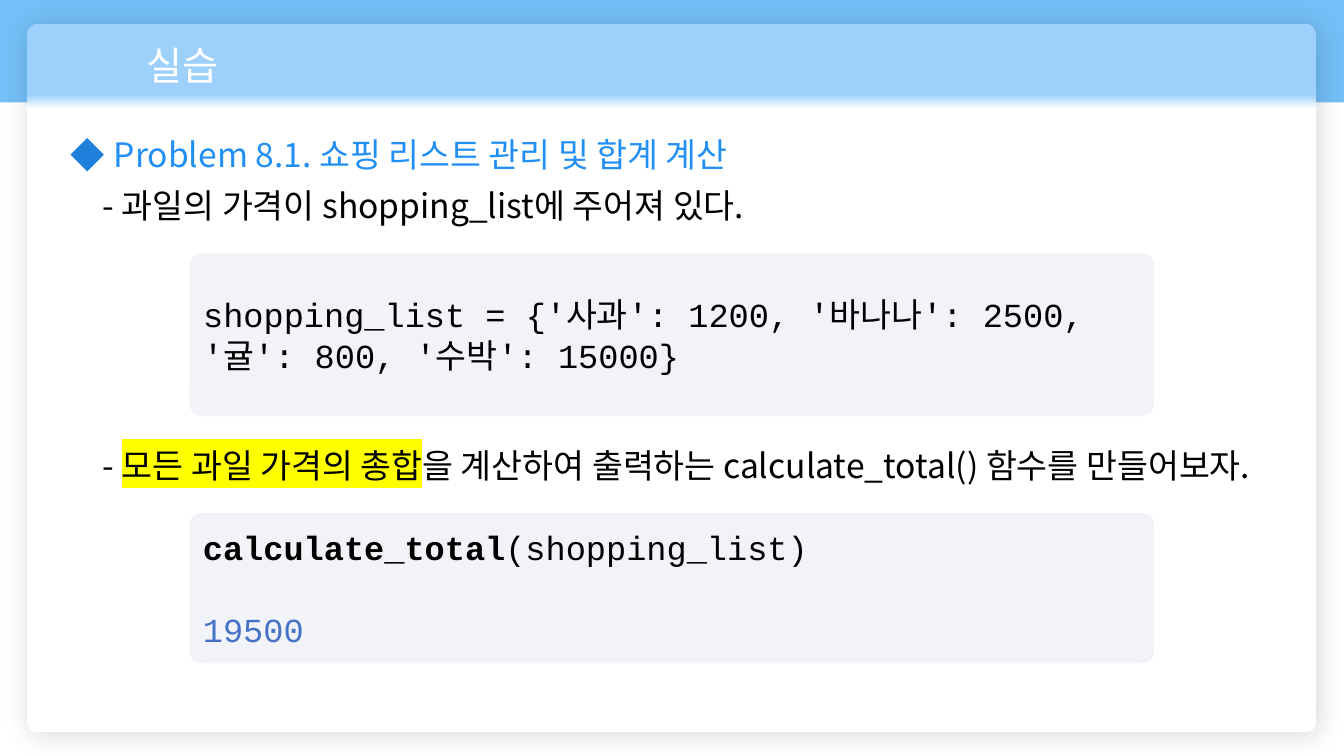
from dataclasses import dataclass

from lxml import etree
from pptx import Presentation
from pptx.dml.color import RGBColor
from pptx.enum.shapes import MSO_SHAPE
from pptx.enum.text import MSO_ANCHOR, PP_ALIGN
from pptx.oxml import parse_xml
from pptx.oxml.ns import nsdecls, qn
from pptx.shapes.autoshape import Shape
from pptx.slide import Slide
from pptx.text.text import TextFrame
from pptx.util import Pt

RECT, ROUNDED, DIAMOND = MSO_SHAPE.RECTANGLE, MSO_SHAPE.ROUNDED_RECTANGLE, MSO_SHAPE.DIAMOND
MIDDLE, LEFT = MSO_ANCHOR.MIDDLE, PP_ALIGN.LEFT


@dataclass(frozen=True)
class Theme:
    sans: str = "Noto Sans CJK KR"
    mono: str = "Courier New"
    title_size: int = 28
    body_size: int = 24
    band: str = "74BFF8"
    header: str = "9DD1FB"
    white: str = "FFFFFF"
    black: str = "000000"
    heading: str = "228FF4"
    marker: str = "1F80DB"
    code_fill: str = "F2F3F9"
    output: str = "4472C4"
    highlight: str = "FFFF00"


T = Theme()


@dataclass(frozen=True)
class Box:
    left: float
    top: float
    width: float
    height: float


@dataclass(frozen=True)
class Run:
    text: str
    color: str = T.black
    font: str = T.sans
    size: int = T.body_size
    bold: bool = False
    highlight: str = ""


@dataclass(frozen=True)
class Line:
    runs: tuple[Run, ...]
    space_before: float = 0


@dataclass(frozen=True)
class TextItem:
    box: Box
    lines: tuple[Line, ...]
    is_code: bool = False


def code(text: str, color: str = T.black, bold: bool = False) -> Run:
    return Run(text, color, T.mono, bold=bold)


CODE_LEFT, CODE_WIDTH = 135.4, 689
ITEMS = (
    # Title and problem heading
    TextItem(Box(97.9, 25.9, 352.8, 41), (Line((Run("실습", T.white, size=T.title_size),)),)),
    TextItem(Box(74.2, 92.2, 502.6, 36),
             (Line((Run("Problem 8.1. 쇼핑 리스트 관리 및 합계 계산", T.heading),)),)),
    # Given prices
    TextItem(Box(66.2, 128.9, 704.9, 36),
             (Line((Run("- 과일의 가격이 shopping_list에 주어져 있다."),)),)),
    TextItem(Box(CODE_LEFT, 180.7, CODE_WIDTH, 116.6), (
        Line((code("shopping_list = {'사과': 1200, '바나나': 2500, '귤': 800, '수박': 15000}"),)),
    ), is_code=True),
    # Task and expected output
    TextItem(Box(66.2, 313.9, 860.4, 36), (
        Line((Run("- "), Run("모든 과일 가격의 총합", highlight=T.highlight),
              Run("을 계산하여 출력하는 calculate_total() 함수를 만들어보자."))),
    )),
    TextItem(Box(CODE_LEFT, 366.5, CODE_WIDTH, 107.3), (
        Line((code("calculate_total", bold=True), code("(shopping_list)"))),
        Line((code("19500", T.output),), space_before=30),
    ), is_code=True),
)


def add_shape(s: Slide, kind: MSO_SHAPE, box: Box, color: str, corner: float = 0) -> Shape:
    sp = s.shapes.add_shape(kind, Pt(box.left), Pt(box.top), Pt(box.width), Pt(box.height))
    sp.shadow.inherit = False
    sp.fill.solid()
    sp.fill.fore_color.rgb = RGBColor.from_string(color)
    sp.line.fill.background()
    if corner:
        sp.adjustments[0] = corner
    return sp


def add_card(s: Slide, box: Box) -> None:
    """Rounded card with a tinted header and a soft shadow."""
    sp = add_shape(s, ROUNDED, box, T.white, 0.016)
    props = sp._element.spPr
    stops = "".join(
        f'<a:gs pos="{pos * 1000}"><a:srgbClr val="{color}"/></a:gs>'
        for pos, color in ((10, T.header), (12, T.white), (100, T.white)))
    props.replace(props.find(qn("a:solidFill")), parse_xml(
        f'<a:gradFill rotWithShape="1" {nsdecls("a")}><a:gsLst>{stops}</a:gsLst>'
        '<a:lin ang="5400000" scaled="0"/></a:gradFill>'))
    props.find(qn("a:effectLst")).append(parse_xml(
        f'<a:outerShdw blurRad="{Pt(20)}" dist="{Pt(3)}" dir="2700000" {nsdecls("a")}>'
        f'<a:srgbClr val="{T.black}"><a:alpha val="14000"/></a:srgbClr></a:outerShdw>'))


def write_lines(tf: TextFrame, lines: tuple[Line, ...]) -> None:
    tf.word_wrap = True
    for i, line in enumerate(lines):
        p = tf.paragraphs[0] if i == 0 else tf.add_paragraph()
        p.alignment = LEFT
        if line.space_before:
            p.space_before = Pt(line.space_before)
        for run in line.runs:
            r = p.add_run()
            r.text = run.text
            r.font.size = Pt(run.size)
            r.font.bold = run.bold
            r.font.color.rgb = RGBColor.from_string(run.color)
            r.font.name = run.font
            latin = r.font._element.find(qn("a:latin"))
            east_asian = etree.Element(qn("a:ea"), typeface=run.font)
            latin.addnext(east_asian)
            if run.highlight:
                mark = etree.Element(qn("a:highlight"))
                etree.SubElement(mark, qn("a:srgbClr"), val=run.highlight)
                latin.addprevious(mark)


def add_text(s: Slide, item: TextItem) -> None:
    box = item.box
    if item.is_code:
        sp = add_shape(s, ROUNDED, box, T.code_fill, 0.078)
        sp.text_frame.vertical_anchor = MIDDLE
    else:
        sp = s.shapes.add_textbox(Pt(box.left), Pt(box.top), Pt(box.width), Pt(box.height))
    write_lines(sp.text_frame, item.lines)


def main() -> None:
    prs = Presentation()
    prs.slide_width, prs.slide_height = Pt(960), Pt(540)
    s = prs.slides.add_slide(prs.slide_layouts[6])

    # Background band and card
    add_shape(s, RECT, Box(0, 0, 960, 73.2), T.band)
    add_card(s, Box(19.2, 16.9, 920.9, 506.2))

    # Heading marker
    add_shape(s, DIAMOND, Box(50.4, 98.6, 23.8, 23.8), T.marker)

    # Text and code panels
    for item in ITEMS:
        add_text(s, item)

    prs.save("out.pptx")


if __name__ == "__main__":
    main()
